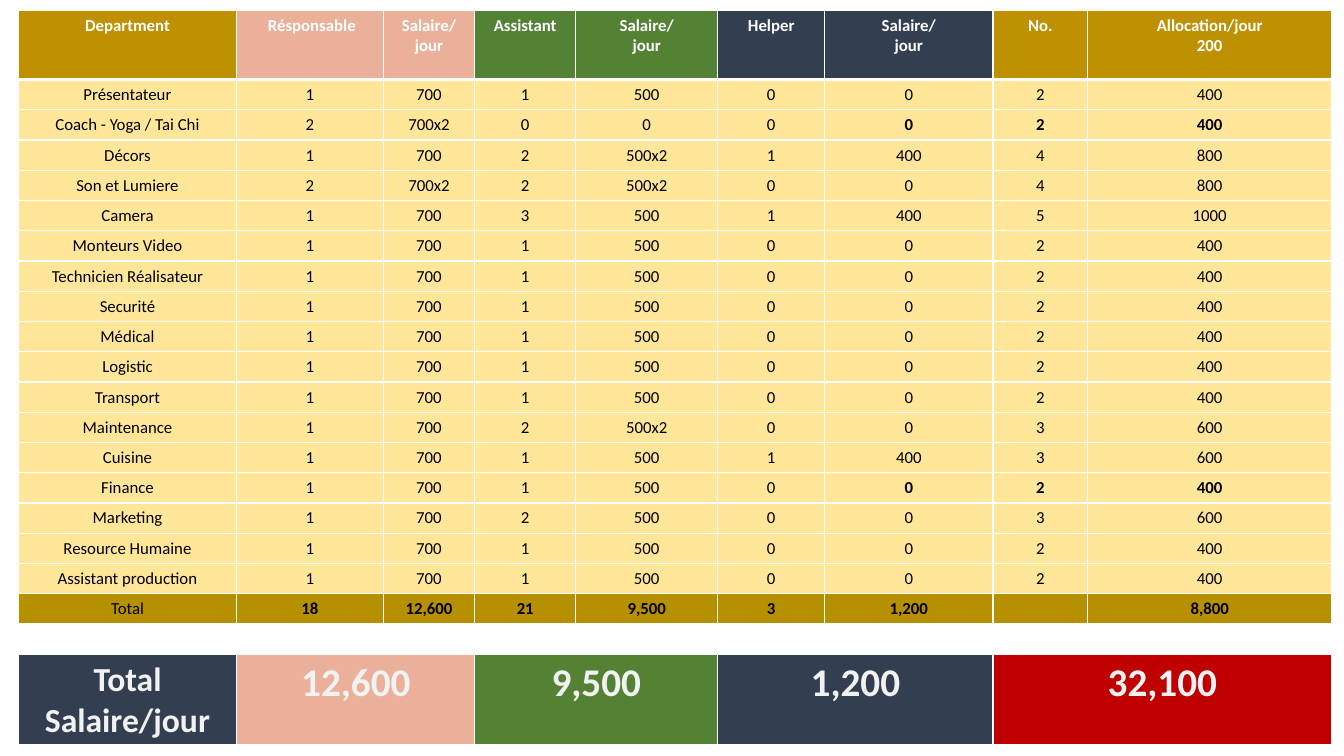
import pptx
import pptx.util
import pptx.dml.color
import pptx.enum.text
import lxml.etree
from pptx.util import Inches

NS = "{http://schemas.openxmlformats.org/drawingml/2006/main}"
GOLD, PINK, GREEN, NAVY = "BF9000", "EBB099", "548235", "333F50"


def color(code):
    return pptx.dml.color.RGBColor.from_string(code)


def border(cell, side, width):
    props = cell._tc.get_or_add_tcPr()
    line = lxml.etree.SubElement(props, NS + side, w=str(pptx.util.Pt(width)))
    fill = lxml.etree.SubElement(line, NS + "solidFill")
    lxml.etree.SubElement(fill, NS + "srgbClr", val="FFFFFF")


heads = ["Department", " Résponsable", "Salaire/\njour", "Assistant", "Salaire/\njour",
         "Helper", "Salaire/\njour", "No.", "Allocation/jour\n200"]
tints = [GOLD, PINK, PINK, GREEN, GREEN, NAVY, NAVY, GOLD, GOLD]
staff = [
    ("Présentateur", "1 700 1 500 0 0 2 400"),
    ("Coach - Yoga / Tai Chi", "2 700x2 0 0 0 0 2 400"),
    ("Décors", "1 700 2 500x2 1 400 4 800"),
    ("Son et Lumiere", "2 700x2 2 500x2 0 0 4 800"),
    ("Camera", "1 700 3 500 1 400 5 1000"),
    ("Monteurs Video", "1 700 1 500 0 0 2 400"),
    ("Technicien Réalisateur", "1 700 1 500 0 0 2 400"),
    ("Securité", "1 700 1 500 0 0 2 400"),
    ("Médical", "1 700 1 500 0 0 2 400"),
    ("Logistic", "1 700 1 500 0 0 2 400"),
    ("Transport", "1 700 1 500 0 0 2 400"),
    ("Maintenance", "1 700 2 500x2 0 0 3 600"),
    ("Cuisine", "1 700 1 500 1 400 3 600"),
    ("Finance", "1 700 1 500 0 0 2 400"),
    ("Marketing", "1 700 2 500 0 0 3 600"),
    ("Resource Humaine", "1 700 1 500 0 0 2 400"),
    ("Assistant production", "1 700 1 500 0 0 2 400"),
]
total = ["Total", "18", "12,600", "21", "9,500", "3", "1,200", "", "8,800"]
grand = ["Total Salaire/jour", "12,600", "", "9,500", "", "1,200", "", "32,100", ""]
rows = [heads] + [[name] + nums.split() for name, nums in staff] + [total, [""] * 9, grand]
last = len(rows) - 1
widths = [2.17, 1.45, 0.91, 1, 1.41, 1.06, 1.67, 0.94, 2.42]
heights = [0.69] + [0.3] * (last - 1) + [0.89]

deck = pptx.Presentation()
deck.slide_width = Inches(13.33)
deck.slide_height = Inches(7.5)
slide = deck.slides.add_slide(deck.slide_layouts[6])
table = slide.shapes.add_table(len(rows), 9, Inches(0.18), Inches(0.1),
                               Inches(sum(widths)), Inches(sum(heights))).table
table.first_row = False
table.horz_banding = False
for col, width in zip(table.columns, widths):
    col.width = Inches(width)
for row, height in zip(table.rows, heights):
    row.height = Inches(height)
for left in (1, 3, 5, 7):
    table.cell(last, left).merge(table.cell(last, left + 1))

for r, row in enumerate(rows):
    for c, text in enumerate(row):
        cell = table.cell(r, c)
        cell.margin_top = Inches(0.05)
        cell.margin_bottom = Inches(0.03)
        border(cell, "lnL", 1)
        border(cell, "lnR", 1)
        border(cell, "lnT", 3 if r == 1 else 1)
        border(cell, "lnB", 3 if r == 0 else 1)

        size, ink, bold, fill = 12, "000000", False, "FFE699"
        if r == 0:
            ink, bold, fill = "FFFFFF", True, tints[c]
        elif r == last:
            size, ink, bold = 28 if c else 24, "F2F2F2", True
            fill = NAVY if c == 0 else "C00000" if c > 6 else tints[c]
        elif r == last - 2:
            bold, fill = c > 0, "B79000"
        elif row[0] in ("Coach - Yoga / Tai Chi", "Finance"):
            bold = c > 5
        if r == last - 1:
            cell.fill.background()
        else:
            cell.fill.solid()
            cell.fill.fore_color.rgb = color(fill)

        cell.text_frame.text = text
        for para in cell.text_frame.paragraphs:
            para.alignment = pptx.enum.text.PP_ALIGN.CENTER
            for run in para.runs:
                run.font.name = "Calibri"
                run.font.size = pptx.util.Pt(size)
                run.font.bold = bold
                run.font.color.rgb = color(ink)
            if not text:
                lxml.etree.SubElement(para._p, NS + "endParaRPr", sz="1200")

deck.save("out.pptx")
